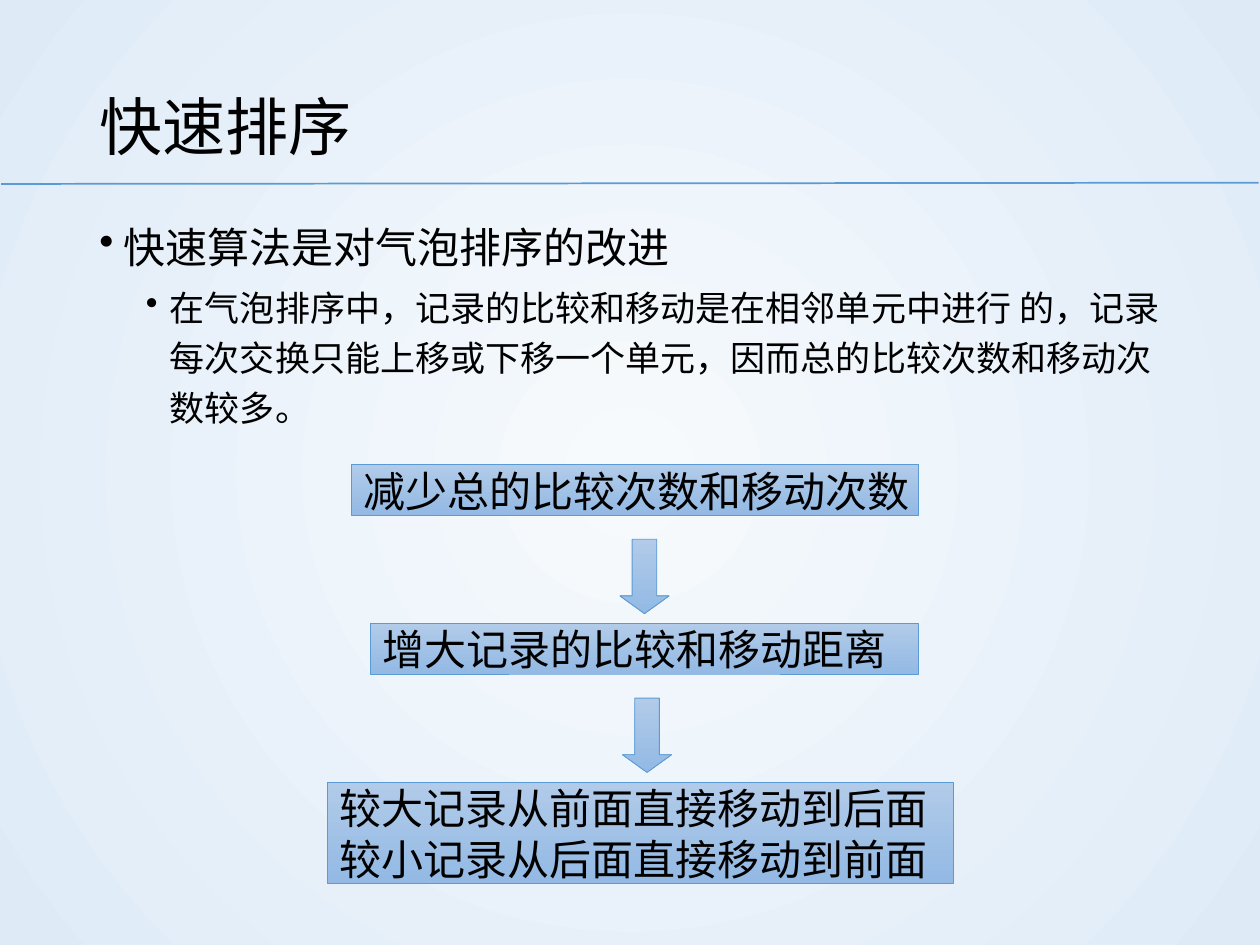
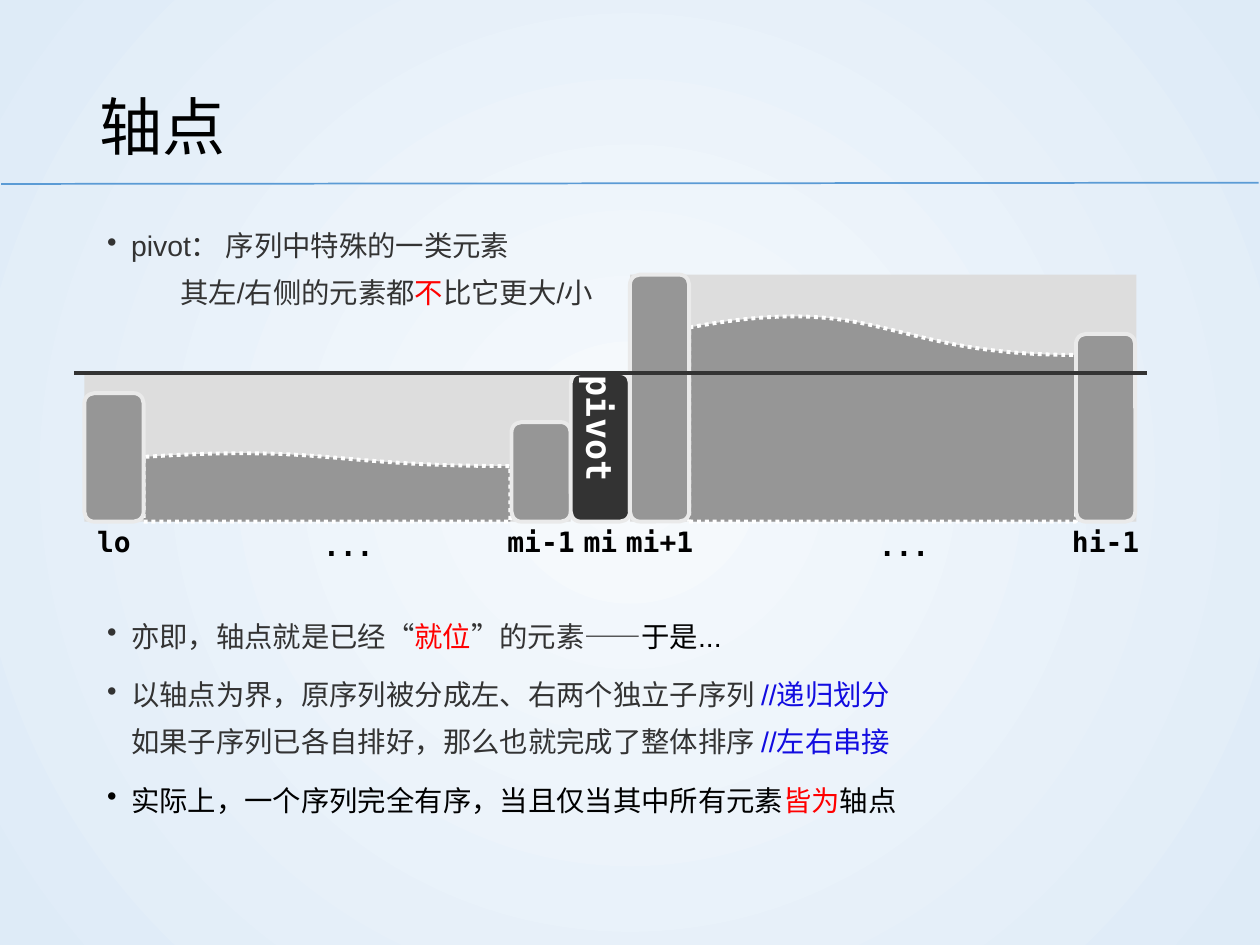
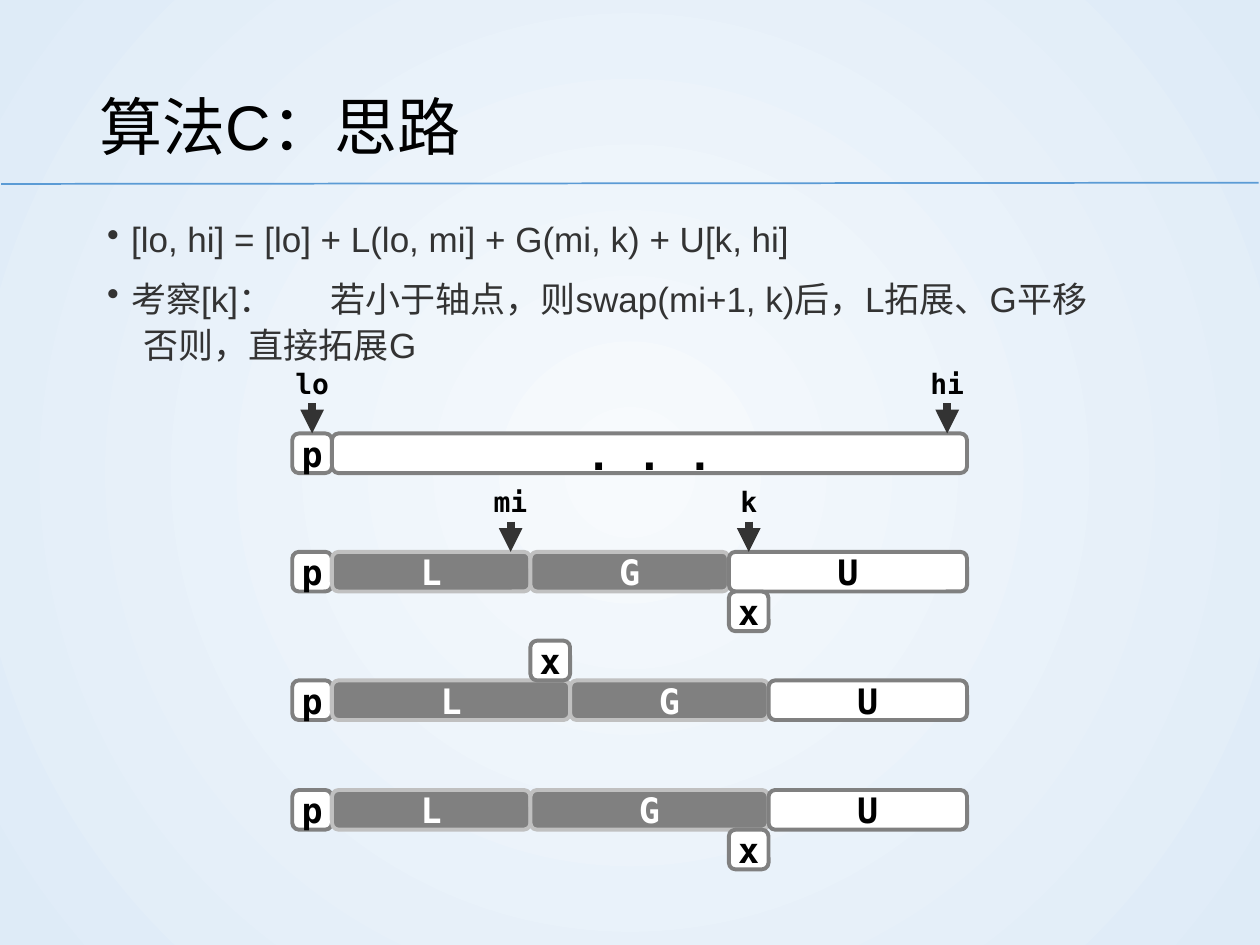
"""Build three slides on quicksort: its idea, the pivot, and algorithm C."""
from lxml import etree
from pptx import Presentation
from pptx.dml.color import RGBColor
from pptx.enum.dml import MSO_LINE
from pptx.enum.shapes import MSO_CONNECTOR, MSO_SHAPE
from pptx.enum.text import MSO_ANCHOR, MSO_AUTO_SIZE, PP_ALIGN
from pptx.oxml.ns import qn
from pptx.util import Inches, Pt

RECTANGLE, ROUNDED = MSO_SHAPE.RECTANGLE, MSO_SHAPE.ROUNDED_RECTANGLE
DOWN_ARROW, WAVE = MSO_SHAPE.DOWN_ARROW, MSO_SHAPE.FLOWCHART_DOCUMENT
STRAIGHT, DOTTED = MSO_CONNECTOR.STRAIGHT, MSO_LINE.ROUND_DOT
LEFT, CENTER = PP_ALIGN.LEFT, PP_ALIGN.CENTER
TOP, MIDDLE = MSO_ANCHOR.TOP, MSO_ANCHOR.MIDDLE

SANS, MONO, CHINESE = "Arial", "DejaVu Sans Mono", "Noto Sans CJK SC"
BLACK, WHITE, INK, RED, COMMENT = "000000", "FFFFFF", "333333", "FF0000", "120CE0"
ACCENT, PALE, BAR, BAR_EDGE = "5B9BD5", "DDDDDD", "969696", "EAEAEA"
DARK, DARK_EDGE = "808080", "C0C0C0"
GLOW, STEP_GRADIENT = ("F7FAFD", "DEEBF7"), ("B1CBE9", "93B9E4")
MARGIN, BODY_TOP, BODY_WIDTH = 0.69, 1.63, 8.62
BODY_INSETS = (0.16, 0.08, 0, 0.08)
NO_INSETS = (0, 0, 0, 0)


def line(*spans, **layout):
    """Pair the spans of one paragraph with its layout."""
    return spans, layout


IDEA = [
    line("快速算法是对气泡排序的改进", bullet=True, size=24, spacing=34.3),
    line("在气泡排序中，记录的比较和移动是在相邻单元中进行 的，记录每次交换只能上移或下移"
         "一个单元，因而总的比较次数和移动次数较多。", bullet=True, left=0.56, before=3.8),
]
STEPS = [
    (2.79, 4.5, ["减少总的比较次数和移动次数"]),
    (2.94, 4.35, ["增大记录的比较和移动距离"]),
    (2.6, 4.97, ["较大记录从前面直接移动到后面", "较小记录从后面直接移动到前面"]),
]
STEP_ARROWS = [4.92, 4.94]

PIVOT_MEANING = [
    line("pivot： 序列中特殊的一类元素", bullet=True),
    line("其左/右侧的元素都", ("不", RED), "比它更大/小", left=0.58),
]
PIVOT_RESULTS = [
    line("亦即，轴点就是已经“", ("就位", RED), "”的元素", ("——", INK, CHINESE),
         ("于是...", BLACK), bullet=True),
    line("以轴点为界，原序列被分成左、右两个独立子序列 ", ("//递归划分", COMMENT),
         bullet=True, before=6.5),
    line("如果子序列已各自排好，那么也就完成了整体排序 ", ("//左右串接", COMMENT)),
    line(("实际上，一个序列完全有序，当且仅当其中所有元素", BLACK), ("皆为", RED),
         ("轴点", BLACK), bullet=True, before=6.5),
]
BAR_WIDTH, BASE, PIVOT_HEIGHT = 0.47, 4.14, 1.18
BARS = [("lo", 0.67, 1.02), ("mi-1", 4.06, 0.79), ("mi", 4.53, PIVOT_HEIGHT),
        ("mi+1", 5, 1.96), ("hi-1", 8.54, 1.49)]
PANELS = [(0.67, 3.86, PIVOT_HEIGHT), (5, 4.02, 1.96)]
HILLS = [(1.14, 2.91, 0.55), (5.47, 3.07, 1.65)]

PARTITION = [
    line("[lo, hi] = [lo] + L(lo, mi] + G(mi, k) + U[k, hi]", bullet=True, spacing=25.3),
    line("考察[k]：\t若小于轴点，则swap(mi+1, k)后，L拓展、G平移",
         bullet=True, before=8, tab=1.77),
    line("否则，直接拓展G", left=0.29),
]
CELL, GRID_LEFT = 0.315, 2.32
ROWS = [
    (3.44, [("p", 1), (". . .", 16)]),
    (4.38, [("p", 1), ("L", 5), ("G", 5), ("U", 6)]),
    (5.4, [("p", 1), ("L", 6), ("G", 5), ("U", 5)]),
    (6.27, [("p", 1), ("L", 5), ("G", 6), ("U", 5)]),
]
POINTERS = [("lo", 0, 0), ("hi", 16, 0), ("mi", 5, 1), ("k", 11, 1)]
MOVED = [(11, 1, 1), (6, 2, -1), (11, 3, 1)]
POINTER_LENGTH = 0.24


def rgb(color):
    """Turn a hex string into a colour."""
    return RGBColor.from_string(color)


def inches(*lengths):
    """Turn numbers into lengths."""
    return [Inches(length) for length in lengths]


def paint_gradient(fill, colors):
    """Fill with a gradient that runs downward."""
    fill.gradient()
    fill.gradient_angle = 270
    for stop, color in zip(fill.gradient_stops, colors):
        stop.color.rgb = rgb(color)


def write(box, paragraphs, size=20, font=SANS, color=BLACK, bold=False, align=LEFT,
          anchor=TOP, insets=None, wrap=True, spacing=None):
    """Write paragraphs of spans into a shape."""
    frame = box.text_frame
    frame.auto_size = MSO_AUTO_SIZE.NONE
    frame.word_wrap = wrap
    frame.vertical_anchor = anchor
    if insets:
        (frame.margin_left, frame.margin_top,
         frame.margin_right, frame.margin_bottom) = inches(*insets)
    for index, (spans, layout) in enumerate(paragraphs):
        para = frame.add_paragraph() if index else frame.paragraphs[0]
        para.alignment = align
        para.space_before = Pt(layout.get("before", 0))
        para_spacing = layout.get("spacing", spacing)
        if para_spacing:
            para.line_spacing = Pt(para_spacing)
        set_indent(para, **layout)
        for span in spans:
            text, span_color, span_font = (
                (span, color, font) if isinstance(span, str) else (*span, font)[:3])
            run = para.add_run()
            run.text = text
            run.font.size = Pt(layout.get("size", size))
            run.font.bold = bold
            run.font.name = span_font
            run.font.color.rgb = rgb(span_color)
            east_asian = etree.SubElement(run.font._element, qn("a:ea"))
            east_asian.set("typeface", CHINESE)


def set_indent(para, bullet=False, left=0.19, tab=None, **others):
    """Set the indent, bullet and tab stop of a paragraph."""
    if not others.get("plain"):
        properties = para._p.get_or_add_pPr()
        properties.set("marL", str(Inches(left)))
        properties.set("indent", str(Inches(-0.19 if bullet else 0)))
        if bullet:
            etree.SubElement(properties, qn("a:buChar")).set("char", "•")
        if tab:
            stops = etree.SubElement(properties, qn("a:tabLst"))
            etree.SubElement(stops, qn("a:tab"), pos=str(Inches(tab)), algn="l")


def add_text(page, place, paragraphs, **style):
    """Add a text box."""
    box = page.shapes.add_textbox(*inches(*place))
    write(box, paragraphs, **style)
    return box


def add_label(page, place, text, shape=None, size=16, color=BLACK):
    """Centre one bold monospaced label in a shape or a new text box."""
    box = shape or page.shapes.add_textbox(*inches(*place))
    write(box, [line(text, plain=True)], size=size, font=MONO, color=color, bold=True,
          align=CENTER, anchor=MIDDLE, insets=NO_INSETS, wrap=False)
    return box


def add_figure(page, kind, place, fill, edge=None, width=2.25):
    """Add a preset shape with a plain or gradient fill."""
    shape = page.shapes.add_shape(kind, *inches(*place))
    shape.shadow.inherit = False
    if isinstance(fill, tuple):
        paint_gradient(shape.fill, fill)
    else:
        shape.fill.solid()
        shape.fill.fore_color.rgb = rgb(fill)
    if edge:
        shape.line.color.rgb = rgb(edge)
        shape.line.width = Pt(width)
    else:
        shape.line.fill.background()
    return shape


def add_rule(page, start, end, color, width, arrow=False):
    """Add a straight connector, with an arrowhead if asked."""
    rule = page.shapes.add_connector(STRAIGHT, *inches(*start, *end))
    rule.line.color.rgb = rgb(color)
    rule.line.width = Pt(width)
    properties = rule.element.spPr
    if arrow:
        etree.SubElement(properties.find(qn("a:ln")), qn("a:tailEnd")).set("type", "triangle")
    etree.SubElement(properties, qn("a:effectLst"))
    return rule


def set_backdrop(deck):
    """Give the master a round glow."""
    master = deck.slide_master
    paint_gradient(master.background.fill, GLOW)
    gradient = master.element.xpath("./p:cSld/p:bg//a:gradFill")[0]
    gradient.remove(gradient.find(qn("a:lin")))
    glow = etree.SubElement(gradient, qn("a:path"))
    glow.set("path", "circle")
    center = etree.SubElement(glow, qn("a:fillToRect"))
    for side in "ltrb":
        center.set(side, "50000")


def add_page(deck, title):
    """Add a slide with its title and the line under it."""
    page = deck.slides.add_slide(deck.slide_layouts[5])
    heading = page.shapes.title
    heading.left, heading.top, heading.width, heading.height = inches(
        MARGIN, 0.4, BODY_WIDTH, 1.08)
    write(heading, [line(title, plain=True)], size=36, anchor=MIDDLE, spacing=51.4)
    add_rule(page, (0.01, 1.46), (9.99, 1.45), ACCENT, 1)
    return page


def build_idea(deck):
    """Show how longer moves reduce the work."""
    page = add_page(deck, "快速排序")
    add_text(page, (MARGIN, BODY_TOP, BODY_WIDTH, 1.9), IDEA, spacing=28.6)
    first_top, pitch, row_height = 3.69, 1.26, 0.4
    for index, (left, width, texts) in enumerate(STEPS):
        place = (left, first_top + index * pitch, width, row_height * len(texts))
        step = add_figure(page, RECTANGLE, place, STEP_GRADIENT, ACCENT, 0.5)
        write(step, [line(text, plain=True) for text in texts], size=24, font=CHINESE,
              anchor=MIDDLE, insets=(0.1, 0, 0, 0), spacing=29.1)
    for index, left in enumerate(STEP_ARROWS):
        place = (left, first_top + 0.59 + index * pitch, 0.39, 0.59)
        arrow = add_figure(page, DOWN_ARROW, place, STEP_GRADIENT, ACCENT, 0.5)
        arrow.adjustments[1] = 0.36


def build_pivot(deck):
    """Explain the pivot with bars on both sides of it."""
    page = add_page(deck, "轴点")
    style = {"size": 16.2, "color": INK, "insets": BODY_INSETS, "spacing": 26.9}
    add_text(page, (MARGIN, BODY_TOP, BODY_WIDTH, 0.95), PIVOT_MEANING, **style)
    add_text(page, (MARGIN, 4.73, BODY_WIDTH, 1.9), PIVOT_RESULTS, **style)
    for left, width, height in PANELS:
        add_figure(page, RECTANGLE, (left, BASE - height, width, height), PALE)
    for left, width, height in HILLS:
        hill = add_figure(page, WAVE, (left, BASE - height, width, height), BAR, WHITE)
        hill.line.dash_style = DOTTED
        hill.element.spPr.find(qn("a:xfrm")).set("flipV", "1")
        middle = left + width / 2 + 0.17
        add_label(page, (middle - BAR_WIDTH / 2, BASE + 0.03, BAR_WIDTH, 0.31), "...")
    for name, left, height in BARS:
        is_pivot = name == "mi"
        bar = add_figure(page, ROUNDED, (left, BASE - height, BAR_WIDTH, height),
                         INK if is_pivot else BAR, BAR_EDGE)
        add_label(page, (left, BASE, BAR_WIDTH, 0.31), name)
        if is_pivot:
            add_label(page, None, "pivot", bar, size=20, color=WHITE)
            bar.text_frame.word_wrap = True
            bar.element.txBody.find(qn("a:bodyPr")).set("vert", "eaVert")
    level = BASE - PIVOT_HEIGHT
    add_rule(page, (0.59, level), (9.1, level), INK, 2.25)


def add_block(page, name, column, top, cells):
    """Add one named block of the partition grid."""
    dark = name in ("L", "G")
    place = (GRID_LEFT + column * CELL, top, cells * CELL, CELL)
    block = add_figure(page, ROUNDED, place, DARK if dark else WHITE,
                       DARK_EDGE if dark else DARK)
    return add_label(page, None, name, block, size=24 if "." in name else 20,
                     color=WHITE if dark else BLACK)


def build_partition(deck):
    """Show how algorithm C grows the parts L and G."""
    page = add_page(deck, "算法C：思路")
    add_text(page, (MARGIN, BODY_TOP, BODY_WIDTH, 1.3), PARTITION,
             color=INK, insets=BODY_INSETS, spacing=26.2)
    blocks = {}
    for row, (top, parts) in enumerate(ROWS):
        column = 0
        for name, cells in parts:
            blocks[row, column] = add_block(page, name, column, top, cells)
            column += cells
    for column, row, side in MOVED:
        add_block(page, "x", column, ROWS[row][0] + side * CELL, 1)
    for name, column, row in POINTERS:
        left, end = GRID_LEFT + column * CELL, ROWS[row][0]
        start, middle = end - POINTER_LENGTH, left + CELL / 2
        label = add_label(page, (left, start - CELL, CELL, CELL), name)
        pointer = add_rule(page, (middle, start), (middle, end), INK, 4.5, arrow=True)
        pointer.begin_connect(label, 2)
        if column == 0:
            pointer.end_connect(blocks[row, column], 0)


def main():
    """Build and save the deck."""
    deck = Presentation()
    deck.slide_width, deck.slide_height = inches(10, 7.5)
    set_backdrop(deck)
    for build in (build_idea, build_pivot, build_partition):
        build(deck)
    deck.save("out.pptx")


if __name__ == "__main__":
    main()
